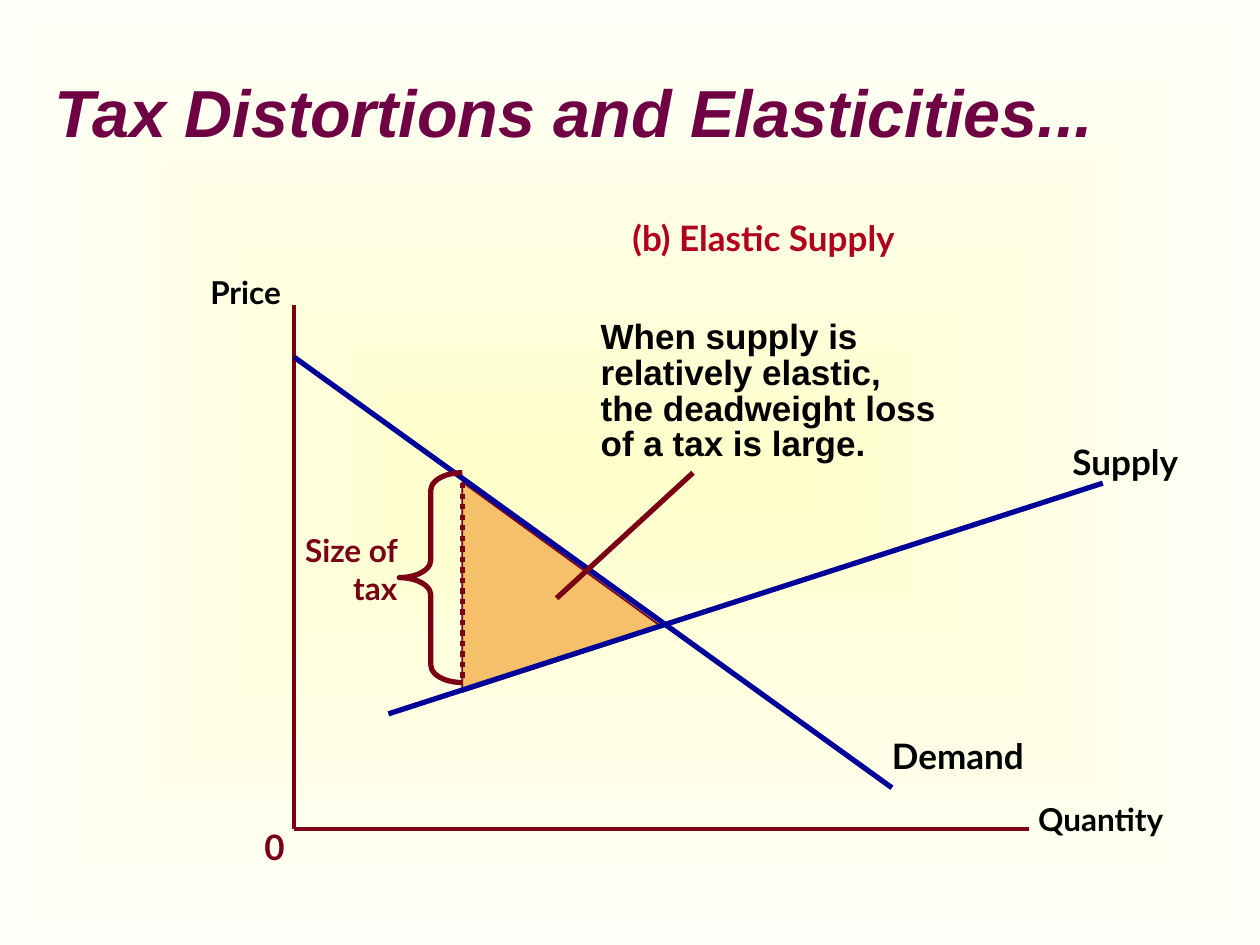
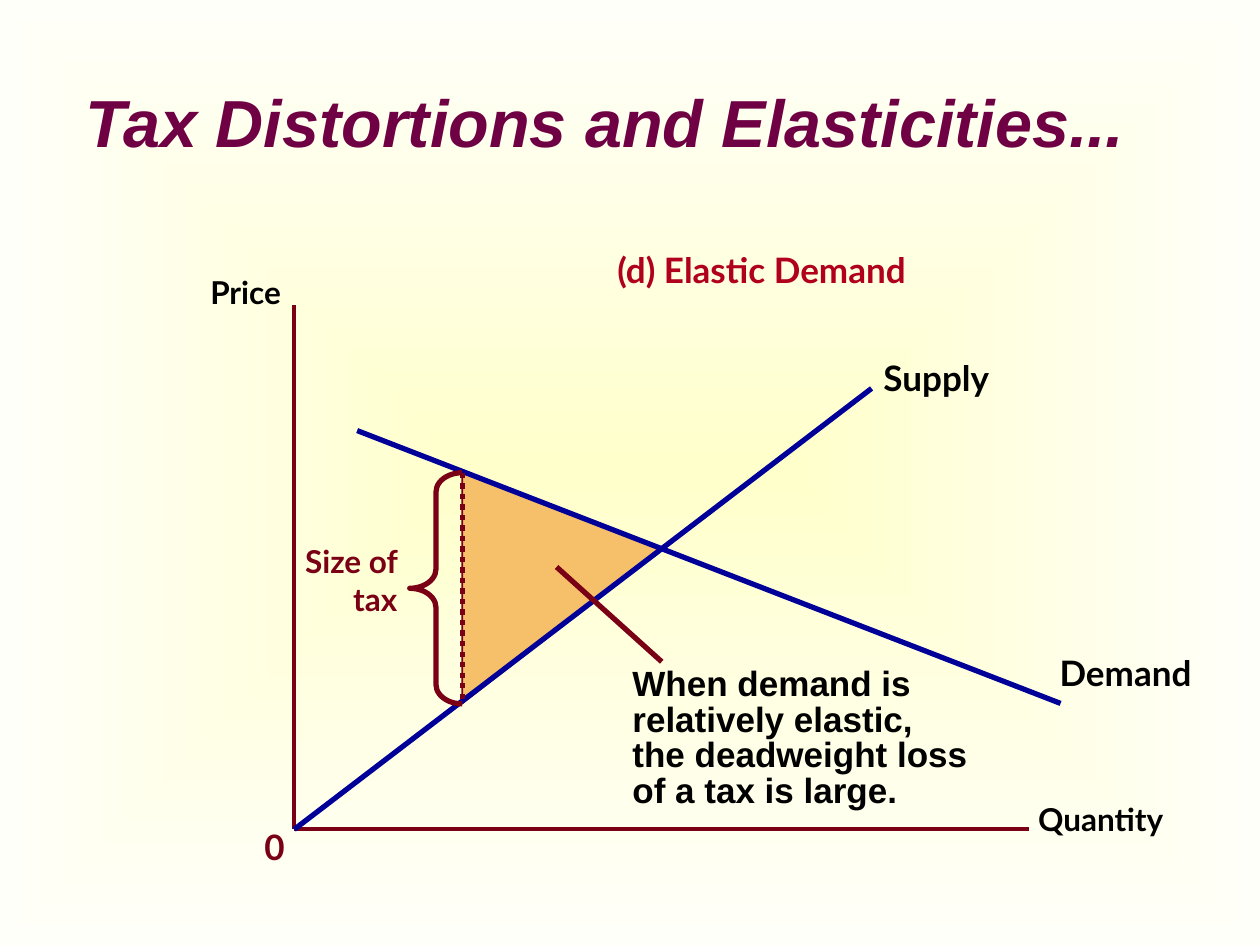
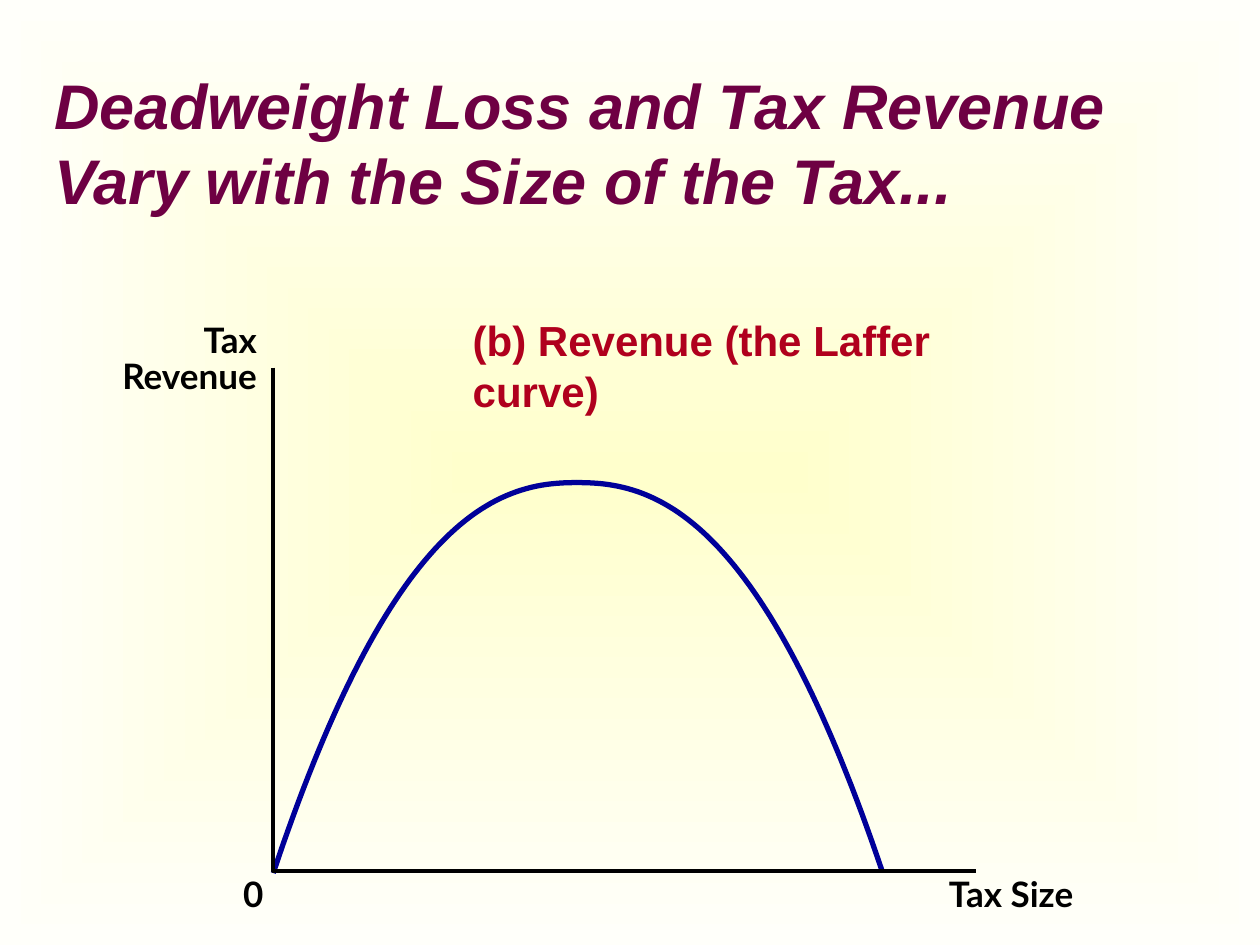
"""Build three slides on tax distortions, elasticities and the Laffer curve."""
import dataclasses
import typing

import lxml.etree
import pptx
import pptx.dml.color
import pptx.enum.dml
import pptx.enum.shapes
import pptx.enum.text
import pptx.oxml.ns
import pptx.util

Cm = pptx.util.Cm
Pt = pptx.util.Pt
RGBColor = pptx.dml.color.RGBColor
Align = pptx.enum.text.PP_ALIGN
Shape = pptx.enum.shapes.MSO_SHAPE
Point = typing.Tuple[float, float]

BG_CENTER = RGBColor(0xFF, 0xFF, 0xCC)
BG_EDGE = RGBColor(0xFF, 0xFF, 0xFA)
PLUM = RGBColor(0x6E, 0x00, 0x43)
MAROON = RGBColor(0x79, 0x00, 0x15)
RED = RGBColor(0xB0, 0x00, 0x1D)
NAVY = RGBColor(0x00, 0x00, 0x99)
ORANGE = RGBColor(0xF6, 0xBF, 0x69)
BLACK = RGBColor(0x00, 0x00, 0x00)

HEADING_FONT = "Arial"
LABEL_FONT = "Lato"
AXIS_WIDTH = 2.25
CURVE_WIDTH = 3
ORIGIN = (5.93, 16.72)
TAX_X = 9.32
TAX_TOP = 9.53
WEDGE_WIDTH = 4.02
CURVE_POWER = 2.33
CURVE_STEPS = 60


@dataclasses.dataclass(frozen=True)
class Label:
    """Bold text in a box; a padded box wraps and has insets."""
    text: str
    x: float
    y: float
    w: float
    h: float
    size: float = 20
    color: RGBColor = BLACK
    font: str = LABEL_FONT
    align: Align = Align.LEFT
    padded: bool = False
    before: float = 0
    spacing: float = 1


@dataclasses.dataclass(frozen=True)
class Line:
    """A straight line between two points."""
    start: Point
    end: Point
    color: RGBColor = NAVY
    width: float = CURVE_WIDTH
    dotted: bool = False


@dataclasses.dataclass(frozen=True)
class Market:
    """A supply and demand diagram with a tax wedge."""
    title_at: Point
    title_width: float
    caption: Label
    demand: Line
    demand_at: Point
    supply: Line
    supply_at: Point
    wedge_top: float
    wedge_apex: float
    tax_height: float
    tax_line_top: float
    brace_x: float
    tax_label_y: float
    side: str
    note_at: Point
    pointer_start: Point
    pointer_end: Point


MARKETS = (
    Market(
        title_at=(0.84, 0.64), title_width=23.29,
        caption=Label("(b) Elastic Supply", 12.5, 4.24, 9.53, 1.12,
                      color=RED, padded=True, before=12.5),
        demand=Line((5.93, 7.2), (17.98, 15.88)), demand_at=(17.98, 14.81),
        supply=Line((7.83, 14.39), (22.23, 9.74)), supply_at=(21.62, 8.89),
        wedge_top=9.72, wedge_apex=0.69, tax_height=4.23, tax_line_top=9.74,
        brace_x=8.05, tax_label_y=10.59, side="supply", note_at=(11.86, 6.35),
        pointer_start=(11.22, 12.06), pointer_end=(13.97, 9.53)),
    Market(
        title_at=(1.47, 0.84), title_width=23.5,
        caption=Label("(d) Elastic Demand", 10.59, 4.88, 9.53, 1.12, color=RED,
                      align=Align.CENTER, padded=True, before=12.5),
        demand=Line((7.2, 8.68), (21.38, 14.18)), demand_at=(21.36, 13.13),
        supply=Line(ORIGIN, (17.57, 7.83)), supply_at=(17.81, 7.19),
        wedge_top=9.52, wedge_apex=0.33, tax_height=4.66, tax_line_top=TAX_TOP,
        brace_x=8.26, tax_label_y=10.8, side="demand", note_at=(12.5, 13.34),
        pointer_start=(11.22, 11.43), pointer_end=(13.34, 13.34)),
)

AXES = (
    Line((ORIGIN[0], 6.15), ORIGIN, MAROON, AXIS_WIDTH),
    Line(ORIGIN, (20.75, ORIGIN[1]), MAROON, AXIS_WIDTH),
)
AXIS_LABELS = (
    Label("Quantity", 20.93, 16.13, 2.82, 0.76, size=18),
    Label("Price", 4.24, 5.51, 1.57, 0.76, size=18),
    Label("0", 5.08, 16.51, 1.9, 1.12, color=MAROON, padded=True, before=12.5),
)

LAFFER_LABELS = (
    Label("(b) Revenue (the Laffer curve)", 9.53, 6.35, 11.99, 1.02, size=24,
          color=RED, font=HEADING_FONT),
    Label("Tax\nRevenue", 2.13, 6.55, 3.05, 1.45, align=Align.RIGHT, spacing=0.85),
    Label("0", 4.9, 17.58, 0.41, 0.84),
    Label("Tax Size", 19.13, 17.58, 2.79, 0.84),
)
LAFFER_PEAK = (11.63, 9.73)
LAFFER_FEET = ((17.78, 17.55), (5.51, 17.6))
LAFFER_AXES = ((5.51, 7.41), (5.51, 17.55), (19.68, 17.55))


def add_slide(prs):
    """Add a blank slide with the shared gradient background."""
    s = prs.slides.add_slide(prs.slide_layouts[6])
    fill = s.background.fill
    fill.gradient()
    for stop, color in zip(fill.gradient_stops, (BG_CENTER, BG_EDGE)):
        stop.color.rgb = color
    qn = pptx.oxml.ns.qn
    lin = next(s.element.iter(qn("a:lin")))
    grad = lin.getparent()
    grad.remove(lin)
    rect = lxml.etree.SubElement(grad, qn("a:path"), {"path": "rect"})
    lxml.etree.SubElement(rect, qn("a:fillToRect"), dict.fromkeys("ltrb", "50000"))
    return s


def add_label(s, label: Label):
    """Draw a label and return its text frame."""
    box = s.shapes.add_textbox(Cm(label.x), Cm(label.y), Cm(label.w), Cm(label.h))
    tf = box.text_frame
    tf.text = label.text
    tf.word_wrap = label.padded
    tf.auto_size = pptx.enum.text.MSO_AUTO_SIZE.SHAPE_TO_FIT_TEXT
    if not label.padded:
        tf.margin_left = tf.margin_right = tf.margin_top = tf.margin_bottom = 0
    for p in tf.paragraphs:
        p.alignment = label.align
        p.line_spacing = label.spacing
        p.space_before = Pt(label.before)
        for r in p.runs:
            r.font.name = label.font
            r.font.size = Pt(label.size)
            r.font.bold = True
            r.font.color.rgb = label.color
    return tf


def add_title(s, text: str, at: Point, width: float, size: float) -> None:
    """Draw the slide title in bold italics."""
    tf = add_label(s, Label(text, *at, width, 3.18, size, PLUM, HEADING_FONT,
                            padded=True))
    tf.auto_size = pptx.enum.text.MSO_AUTO_SIZE.NONE
    tf.vertical_anchor = pptx.enum.text.MSO_ANCHOR.MIDDLE
    tf.paragraphs[0].runs[0].font.italic = True


def style_line(sp, color: RGBColor, width: float) -> None:
    """Set the line of a shape or connector."""
    sp.line.color.rgb = color
    sp.line.width = Pt(width)


def add_line(s, line: Line) -> None:
    """Draw a straight line without a shadow."""
    x1, y1, x2, y2 = map(Cm, line.start + line.end)
    sp = s.shapes.add_connector(pptx.enum.shapes.MSO_CONNECTOR.STRAIGHT, x1, y1, x2, y2)
    style_line(sp, line.color, line.width)
    if line.dotted:
        sp.line.dash_style = pptx.enum.dml.MSO_LINE.ROUND_DOT
    lxml.etree.SubElement(sp.element.spPr, pptx.oxml.ns.qn("a:effectLst"))


def add_outline(s, points: typing.Sequence[Point], color: RGBColor, width: float) -> None:
    """Draw an open line through the points."""
    first, *rest = [(Cm(x), Cm(y)) for x, y in points]
    builder = s.shapes.build_freeform(*first)
    builder.add_line_segments(rest, close=False)
    sp = builder.convert_to_shape()
    sp.shadow.inherit = False
    sp.fill.background()
    style_line(sp, color, width)


def add_wedge(s, top: float, height: float, apex: float) -> None:
    """Draw the deadweight loss triangle, pointing right."""
    shift = (height - WEDGE_WIDTH) / 2
    sp = s.shapes.add_shape(Shape.ISOSCELES_TRIANGLE, Cm(TAX_X - shift), Cm(top + shift),
                            Cm(height), Cm(WEDGE_WIDTH))
    sp.rotation = 90
    sp.adjustments[0] = apex
    sp.shadow.inherit = False
    sp.fill.solid()
    sp.fill.fore_color.rgb = ORANGE
    style_line(sp, MAROON, 1)


def add_brace(s, x: float, height: float) -> None:
    """Draw the brace that spans the tax."""
    width = TAX_X - x
    sp = s.shapes.add_shape(Shape.LEFT_BRACE, Cm(x), Cm(TAX_TOP), Cm(width), Cm(height))
    sp.adjustments[0] = height / 12 / width
    sp.shadow.inherit = False
    sp.fill.background()
    style_line(sp, MAROON, CURVE_WIDTH)


def add_market(prs, m: Market) -> None:
    """Add a slide with one market diagram."""
    s = add_slide(prs)
    add_wedge(s, m.wedge_top, m.tax_height, m.wedge_apex)
    add_title(s, "Tax Distortions and Elasticities...", m.title_at, m.title_width, 38)
    tax_line = Line((TAX_X, m.tax_line_top), (TAX_X, TAX_TOP + m.tax_height),
                    MAROON, dotted=True)
    for line in (*AXES, m.demand, m.supply, tax_line):
        add_line(s, line)
    add_brace(s, m.brace_x, m.tax_height)
    note = (f"When {m.side} is\nrelatively elastic,\n"
            "the deadweight loss\nof a tax is large.")
    for label in (
        *AXIS_LABELS,
        Label("Demand", *m.demand_at, 2.97, 0.84),
        Label("Supply", *m.supply_at, 2.36, 0.84),
        Label("Size of tax", 5.72, m.tax_label_y, 2.54, 1.78, 18, MAROON,
              align=Align.RIGHT, padded=True, before=11.2),
        Label(note, *m.note_at, 7.62, 3.15, font=HEADING_FONT, padded=True,
              spacing=0.85),
        m.caption,
    ):
        add_label(s, label)
    add_line(s, Line(m.pointer_start, m.pointer_end, MAROON))


def add_laffer(prs) -> None:
    """Add the slide with the Laffer curve."""
    s = add_slide(prs)
    add_title(s, "Deadweight Loss and Tax Revenue Vary with the Size of the Tax...",
              (0.84, 1.27), 23.93, 36)
    for label in LAFFER_LABELS:
        add_label(s, label)
    peak_x, peak_y = LAFFER_PEAK
    steps = [i / CURVE_STEPS for i in range(CURVE_STEPS + 1)]
    for foot_x, foot_y in LAFFER_FEET:
        half = [(peak_x + (foot_x - peak_x) * t,
                 peak_y + (foot_y - peak_y) * t ** CURVE_POWER) for t in steps]
        add_outline(s, half, NAVY, CURVE_WIDTH)
    add_outline(s, LAFFER_AXES, BLACK, AXIS_WIDTH)


def main() -> None:
    """Build and save the presentation."""
    prs = pptx.Presentation()
    prs.slide_width, prs.slide_height = Cm(25.4), Cm(19.05)
    for market in MARKETS:
        add_market(prs, market)
    add_laffer(prs)
    prs.save("out.pptx")


if __name__ == "__main__":
    main()
